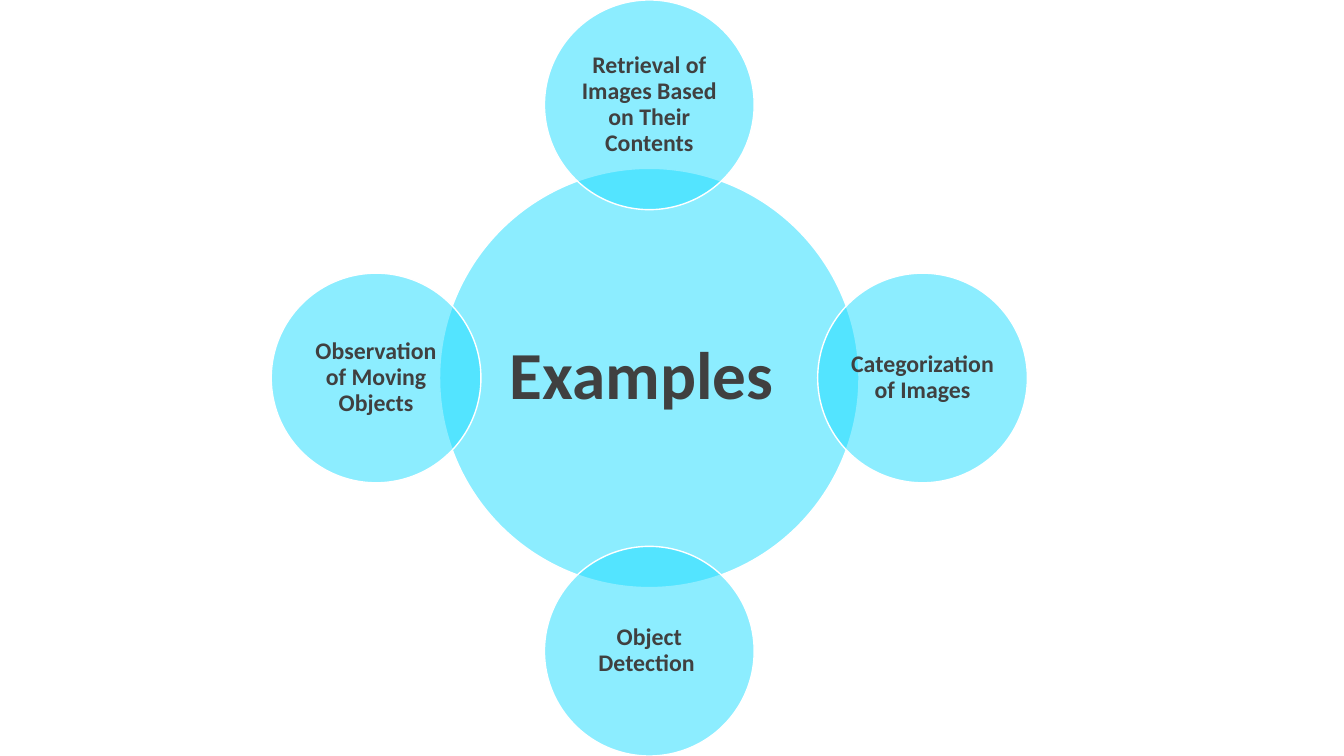
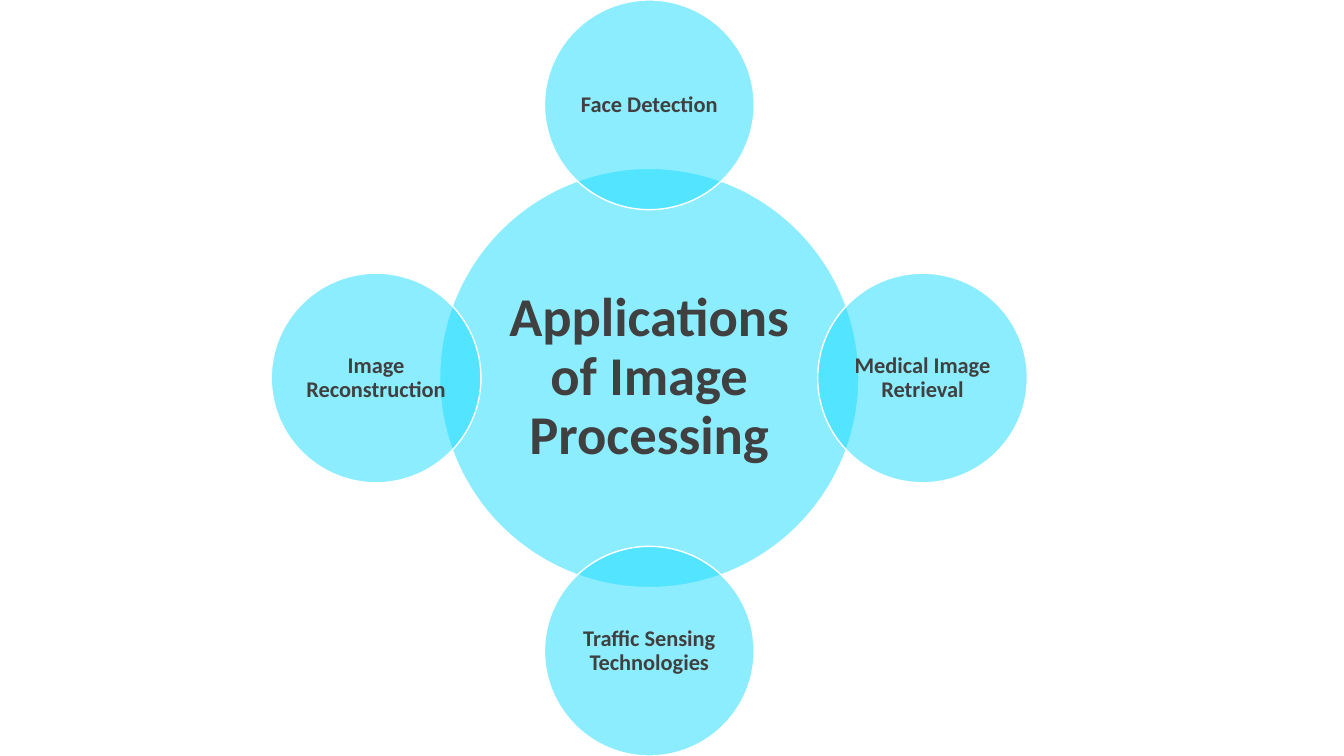
from lxml import etree
from pptx import Presentation
from pptx.dml.color import RGBColor
from pptx.enum.shapes import MSO_SHAPE
from pptx.enum.text import MSO_ANCHOR, PP_ALIGN
from pptx.oxml.ns import qn
from pptx.util import Inches, Pt

OVAL = MSO_SHAPE.OVAL
MIDDLE = MSO_ANCHOR.MIDDLE
CENTER = PP_ALIGN.CENTER

# Shared look
FONT = "Calibri"
CYAN, WHITE, GREY = "1BDCFF", "FFFFFF", "404040"
OPACITY = 50

# Shared layout: a hub with four satellites (top, right, bottom, left)
HUB_X, HUB_Y = 6.44, 3.75
HUB_SIZE, SATELLITE_SIZE = 4.16, 2.08
ORBIT = 2.71
DIRECTIONS = [(0, -1), (1, 0), (0, 1), (-1, 0)]

# Hub text, hub size, hub margin, satellite size, satellite texts
SLIDES = [
    ("Examples ", 48, 0.07, 17,
     ["Retrieval of Images Based on Their Contents", "Categorization of Images",
      "Object Detection ", "Observation of Moving Objects"]),
    ("Applications of Image Processing", 39, 0.05, 16,
     ["Face Detection", "Medical Image Retrieval",
      "Traffic Sensing Technologies", "Image Reconstruction"]),
]


def color(hex_code):
    return RGBColor.from_string(hex_code)


def add_circle(page, x, y, size, text, points, margin):
    """Draw a translucent labelled circle centred on x, y."""
    circle = page.shapes.add_shape(
        OVAL, Inches(x - size / 2), Inches(y - size / 2), Inches(size), Inches(size))
    circle.shadow.inherit = False
    circle.fill.solid()
    circle.fill.fore_color.rgb = color(CYAN)
    fill_color = circle.fill._xPr.find(qn("a:solidFill"))[0]
    etree.SubElement(fill_color, qn("a:alpha")).set("val", str(OPACITY * 1000))
    circle.line.color.rgb = color(WHITE)
    circle.line.width = Pt(1)

    frame = circle.text_frame
    frame.word_wrap = True
    frame.vertical_anchor = MIDDLE
    frame.margin_left = frame.margin_right = Inches(margin)
    frame.margin_top = frame.margin_bottom = Inches(margin)
    para = frame.paragraphs[0]
    para.alignment = CENTER
    para.line_spacing = 0.9
    span = para.add_run()
    span.text = text
    span.font.name = FONT
    span.font.size = Pt(points)
    span.font.bold = True
    span.font.color.rgb = color(GREY)


deck = Presentation()
deck.slide_width, deck.slide_height = Inches(13.33), Inches(7.5)
blank = deck.slide_layouts[6]

for hub_text, hub_points, hub_margin, points, labels in SLIDES:
    page = deck.slides.add_slide(blank)

    # Hub
    add_circle(page, HUB_X, HUB_Y, HUB_SIZE, hub_text, hub_points, hub_margin)

    # Satellites
    for (step_x, step_y), label in zip(DIRECTIONS, labels):
        add_circle(page, HUB_X + step_x * ORBIT, HUB_Y + step_y * ORBIT,
                   SATELLITE_SIZE, label, points, 0.02)

deck.save("out.pptx")
